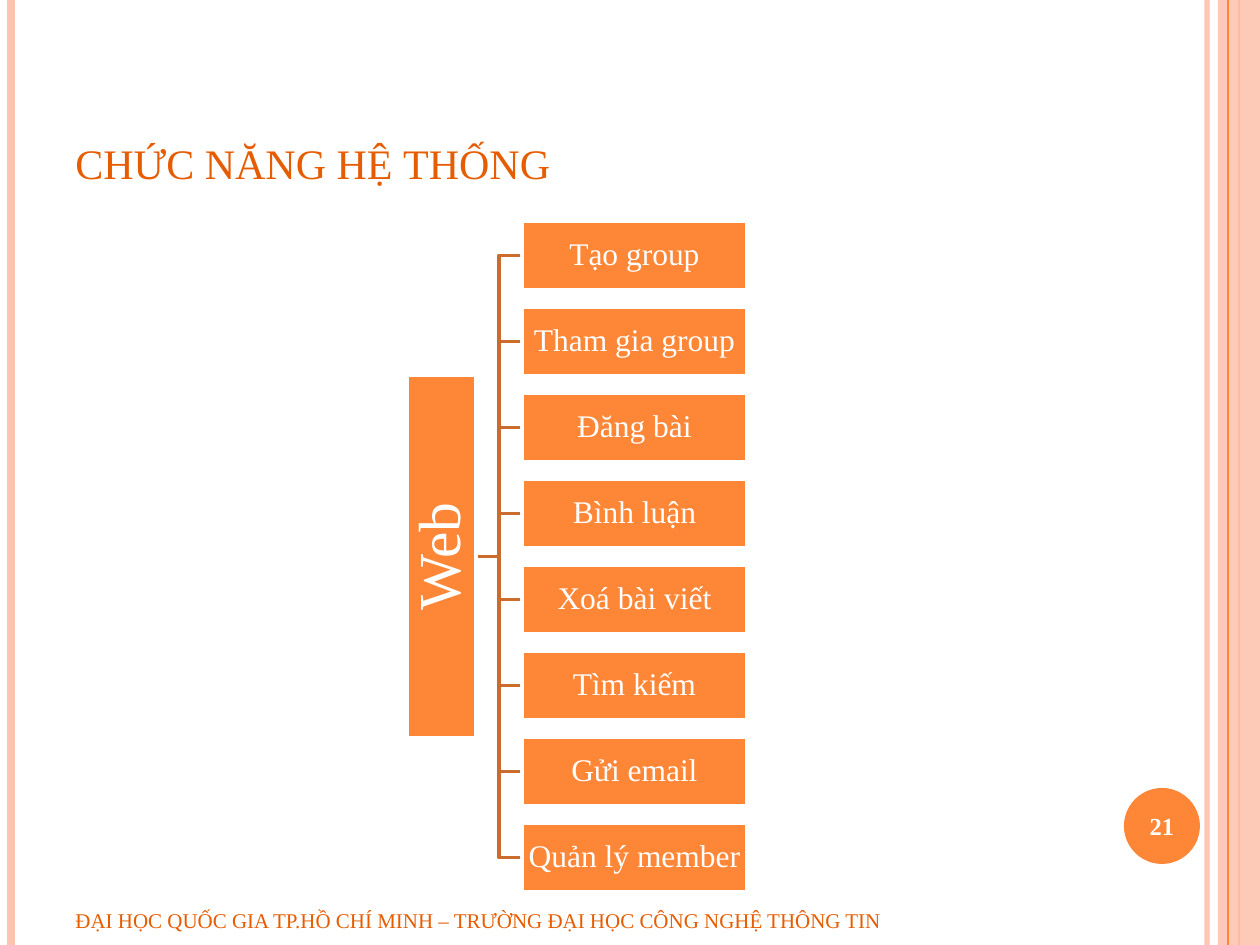
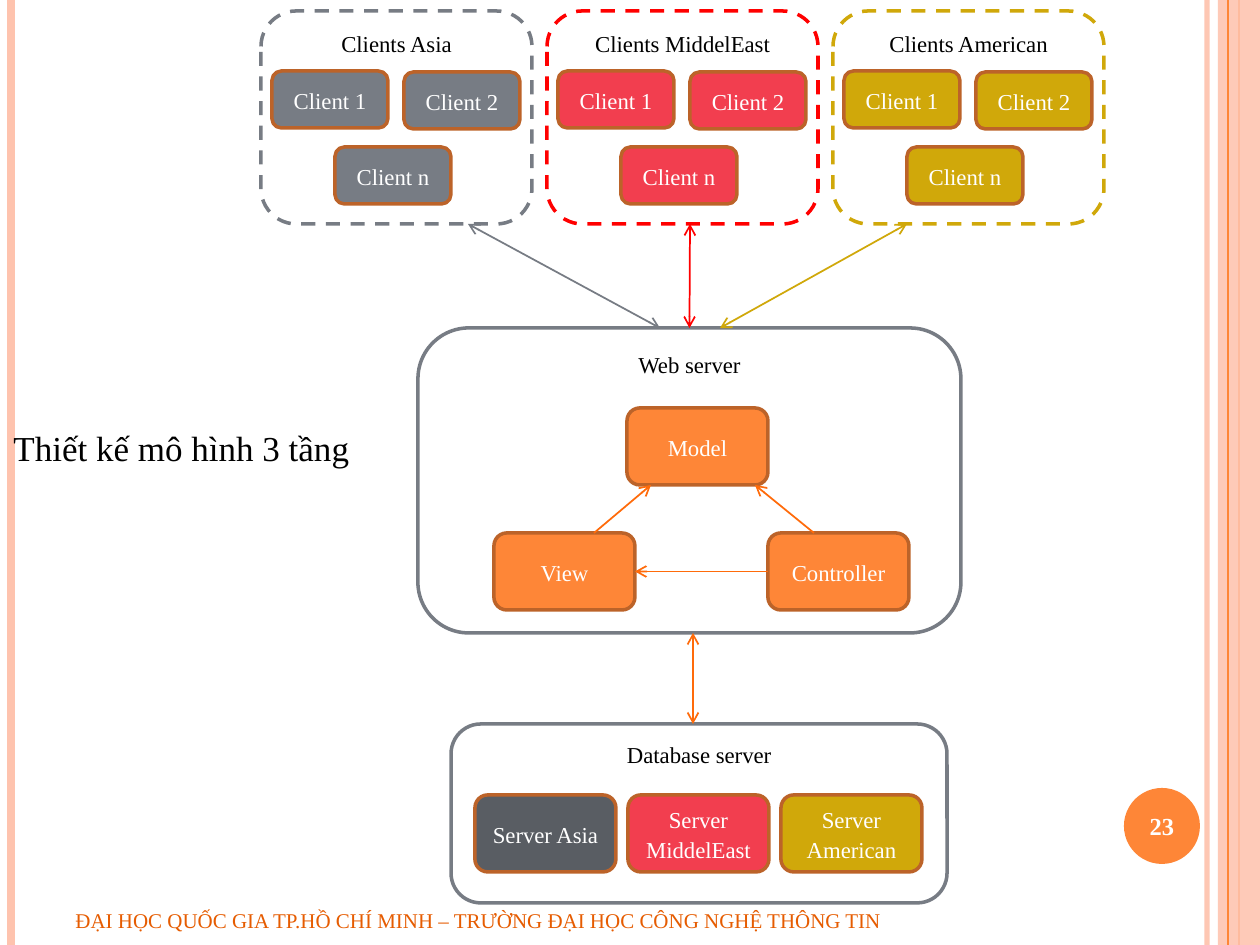
from lxml.etree import SubElement
from pptx import Presentation
from pptx.dml.color import RGBColor
from pptx.enum.dml import MSO_LINE
from pptx.enum.shapes import MSO_CONNECTOR, MSO_SHAPE as SHAPE
from pptx.enum.text import MSO_ANCHOR as ANCHOR, PP_ALIGN as ALIGN
from pptx.oxml.ns import qn
from pptx.util import Emu, Pt

FOOTER = "ĐẠI HỌC QUỐC GIA TP.HỒ CHÍ MINH – TRƯỜNG ĐẠI HỌC CÔNG NGHỆ THÔNG TIN"

FUNCTIONS = {
    "number": "21",
    "title": "chức năng hệ thống",
    "root": "Web",
    "features": ["Tạo group", "Tham gia group", "Đăng bài", "Bình luận",
                 "Xoá bài viết", "Tìm kiếm", "Gửi email", "Quản lý member"],
}

TIERS = {
    "number": "23",
    "caption": "Thiết kế mô hình 3 tầng",
    "regions": [("Clients Asia", "gray", "gray"),
                ("Clients MiddelEast", "red", "rose"),
                ("Clients American", "gold", "gold")],
    "clients": [("Client 1", 11, 60), ("Client 2", 143, 61), ("Client n", 74, 136)],
    "web": "Web server",
    "modules": [("Model", 627, 408), ("View", 494, 533), ("Controller", 768, 533)],
    "database": "Database server",
    "servers": [("Server Asia", "slate"), ("Server MiddelEast", "rose"),
                ("Server American", "gold")],
    "client_links": [("gray", 468, 660), ("red", 690, 690), ("gold", 907, 720)],
    "model_links": [(594, 651), (814, 755)],
}

THEME = {
    "font": "Times New Roman",
    "colors": {
        "white": "FFFFFF", "black": "000000", "orange": "FE8637", "pale": "FEC3AE",
        "heading": "E65C01", "branch": "CB6B2C", "border": "BC6329", "arrow": "FF6B0A",
        "gray": "777C84", "slate": "595D63", "red": "FF0000", "rose": "F23E4F",
        "gold": "D0A80A",
    },
    "text": {
        "title": {"size": 30, "color": "heading", "anchor": ANCHOR.BOTTOM, "caps": "small"},
        "number": {"size": 14, "color": "white", "align": ALIGN.CENTER, "bold": True},
        "footer": {"size": 12, "color": "heading"},
        "caption": {"size": 20, "color": "black", "anchor": ANCHOR.TOP, "wrap": False},
        "root": {"size": 34, "color": "white", "align": ALIGN.CENTER, "inset": 2, "spacing": 0.9},
        "feature": {"size": 18, "color": "white", "align": ALIGN.CENTER, "inset": 1,
                    "spacing": 0.9},
        "frame": {"size": 13, "color": "black", "align": ALIGN.CENTER, "anchor": ANCHOR.TOP,
                  "spacing": 1.07, "after": 8},
        "box": {"size": 13, "color": "white", "align": ALIGN.CENTER, "spacing": 1.07, "after": 8},
    },
}


def px(length):
    return Emu(round(length * 914400 / 126))


def color(name):
    return RGBColor.from_string(THEME["colors"][name])


def apply(target, **values):
    for attribute, value in values.items():
        setattr(target, attribute, value)


def set_alpha(fill_parent, percent):
    for tone in fill_parent.iter(qn("a:srgbClr")):
        SubElement(tone, qn("a:alpha")).set("val", str(percent * 1000))


def write(holder, text, style_name):
    style = THEME["text"][style_name]
    frame = holder.text_frame
    apply(frame, word_wrap=style.get("wrap", True),
          vertical_anchor=style.get("anchor", ANCHOR.MIDDLE))
    if "inset" in style:
        inset = px(style["inset"])
        apply(frame, margin_left=inset, margin_right=inset, margin_top=inset, margin_bottom=inset)
    paragraph = frame.paragraphs[0]
    apply(paragraph, alignment=style.get("align", ALIGN.LEFT),
          line_spacing=style.get("spacing", 1.0), space_after=Pt(style.get("after", 0)))
    run = paragraph.add_run()
    run.text = text
    apply(run.font, name=THEME["font"], size=Pt(style["size"]), bold=style.get("bold", False))
    run.font.color.rgb = color(style["color"])
    if "caps" in style:
        run.font._element.set("cap", style["caps"])


def add_label(slide, area, text, style_name):
    write(slide.shapes.add_textbox(*map(px, area)), text, style_name)


def add_block(slide, kind, area, fill, border=None, text=None, style_name="box", dash=None):
    block = slide.shapes.add_shape(kind, *map(px, area))
    block.shadow.inherit = False
    block.fill.solid()
    block.fill.fore_color.rgb = color(fill)
    if border:
        block.line.color.rgb = color(border)
        apply(block.line, width=Pt(2), dash_style=dash)
    else:
        block.line.fill.background()
    if text:
        write(block, text, style_name)
    return block


def add_line(slide, start, end, tone, width=1, heads=()):
    line = slide.shapes.add_connector(MSO_CONNECTOR.STRAIGHT, *map(px, (*start, *end)))
    line.line.color.rgb = color(tone)
    line.line.width = Pt(width)
    for head in heads:
        SubElement(line.line._get_or_add_ln(), qn(f"a:{head}")).set("type", "arrow")
    SubElement(line._element.spPr, qn("a:effectLst"))
    return line


def add_page(deck, number):
    slide = deck.slides.add_slide(deck.slide_layouts[6])
    inner_rule, *_ = [add_line(slide, (x, 0), (x, 945), tone, width)
                      for x, tone, width in [(1207, "pale", 3), (11, "pale", 4.5),
                                             (1239, "orange", 1.5)]]
    set_alpha(inner_rule._element.spPr, 93)
    band = add_block(slide, SHAPE.RECTANGLE, (1218, 0, 42, 945), "pale")
    set_alpha(band._element.spPr, 87)
    add_line(slide, (1228, 0), (1228, 945), "orange", 0.75)
    add_block(slide, SHAPE.OVAL, (1124, 788, 76, 76), "orange")
    add_label(slide, (1120, 790, 84, 72), number, "number")
    add_label(slide, (63, 895, 977, 50), FOOTER, "footer")
    return slide


def build_functions(deck):
    slide = add_page(deck, FUNCTIONS["number"])
    add_label(slide, (63, 38, 1029, 158), FUNCTIONS["title"], "title")
    features = FUNCTIONS["features"]
    left, top, width, height, pitch = 522, 221, 225, 69, 86
    root_right, root_length = 476, 363
    middle = top + (pitch * (len(features) - 1) + height) / 2
    turn = (root_right + left) / 2

    for index in range(len(features)):
        y = top + index * pitch + height / 2
        outline = slide.shapes.build_freeform(px(root_right), px(middle))
        outline.add_line_segments([(px(turn), px(middle)), (px(turn), px(y)), (px(left), px(y))],
                                  close=False)
        branch = outline.convert_to_shape()
        branch.shadow.inherit = False
        branch.fill.background()
        branch.line.color.rgb = color("branch")
        branch.line.width = Pt(2)

    root_area = (root_right - (height + root_length) / 2, middle - height / 2, root_length, height)
    root = add_block(slide, SHAPE.RECTANGLE, root_area, "orange", "white",
                     FUNCTIONS["root"], "root")
    root.rotation = 270
    for index, feature in enumerate(features):
        add_block(slide, SHAPE.RECTANGLE, (left, top + index * pitch, width, height),
                  "orange", "white", feature, "feature")


def build_tiers(deck):
    slide = add_page(deck, TIERS["number"])
    rounded = SHAPE.ROUNDED_RECTANGLE
    both_heads = ("headEnd", "tailEnd")

    add_block(slide, rounded, (451, 724, 496, 179), "white", "gray", TIERS["database"], "frame")
    for index, (server, tone) in enumerate(TIERS["servers"]):
        add_block(slide, rounded, (475 + index * 153, 795, 141, 77), tone, "border", server)

    web = add_block(slide, rounded, (418, 328, 543, 305), "white", "gray", TIERS["web"], "frame")
    modules = {name: add_block(slide, rounded, (x, y, 141, 77), "orange", "border", name)
               for name, x, y in TIERS["modules"]}
    for start, end in TIERS["model_links"]:
        add_line(slide, (start, 533), (end, 485), "arrow", heads=["tailEnd"])
    render = add_line(slide, (768, 571), (635, 571), "arrow", heads=["tailEnd"])
    render.begin_connect(modules["Controller"], 1)
    render.end_connect(modules["View"], 3)

    for index, (region, border, tone) in enumerate(TIERS["regions"]):
        left, top = 261 + index * 286, 11
        add_block(slide, rounded, (left, top, 271, 213), "white", border, region, "frame",
                  MSO_LINE.DASH)
        for client, dx, dy in TIERS["clients"]:
            add_block(slide, rounded, (left + dx, top + dy, 116, 57), tone, "border", client)

    for tone, start, end in TIERS["client_links"]:
        link = add_line(slide, (start, 224), (end, 328), tone, heads=both_heads)
        if start == end:
            link.end_connect(web, 0)
    add_line(slide, (693, 633), (693, 724), "arrow", heads=both_heads)
    add_label(slide, (1, 420, 373, 55), TIERS["caption"], "caption")


def main():
    deck = Presentation()
    apply(deck, slide_width=px(1260), slide_height=px(945))
    build_functions(deck)
    build_tiers(deck)
    deck.save("out.pptx")


if __name__ == "__main__":
    main()
